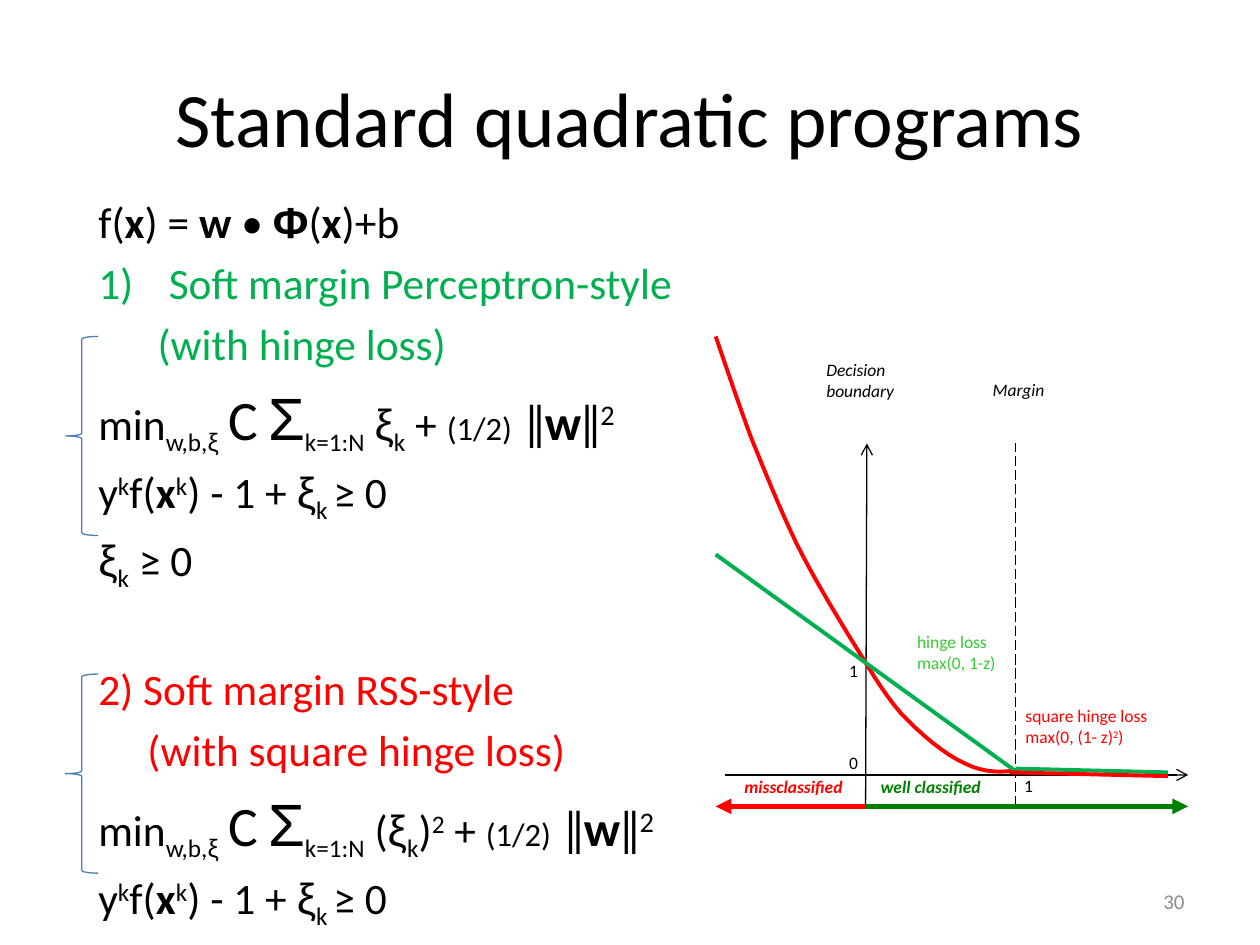
from typing import NamedTuple

from lxml.etree import SubElement
from pptx import Presentation
from pptx.dml.color import RGBColor
from pptx.enum.dml import MSO_LINE
from pptx.enum.shapes import MSO_CONNECTOR, MSO_SHAPE
from pptx.enum.text import MSO_ANCHOR, MSO_AUTO_SIZE, PP_ALIGN
from pptx.oxml.ns import qn
from pptx.util import Inches, Pt

BLACK, RED, GREEN, DARK = "000000", "FF0000", "00B050", "008000"
BODY = 24.8


class Run(NamedTuple):
    """Text with marks: b bold, g Greek font, _ subscript, ^ superscript."""
    text: str
    marks: str = ""
    size: float = BODY


class Para(NamedTuple):
    runs: list[Run]
    color: str = BLACK
    left: float = 0
    hang: float = 0
    before: float | None = None


class Line(NamedTuple):
    start: tuple[float, float]
    end: tuple[float, float]
    color: str = BLACK
    width: float = 0.75
    head: str = ""
    dash: bool = False


class Label(NamedTuple):
    runs: list[Run]
    left: float
    top: float
    width: float
    height: float = 0.21
    color: str = BLACK
    bold: bool = False
    italic: bool = False


def paint(color: str) -> RGBColor:
    return RGBColor.from_string(color)


def add_runs(para, runs: list[Run]) -> None:
    for item in runs:
        run = para.add_run()
        run.text = item.text
        if item.size != BODY:
            run.font.size = Pt(item.size)
        if "b" in item.marks:
            run.font.bold = True
        if "g" in item.marks:
            run.font.name = "Arial"
        for mark, base in (("_", "-25000"), ("^", "30000")):
            if mark in item.marks:
                run._r.get_or_add_rPr().set("baseline", base)


def set_font(para, size: float, color: str) -> None:
    para.font.name = "Calibri"
    para.font.size = Pt(size)
    para.font.color.rgb = paint(color)


def add_para(para, item: Para) -> None:
    props = para._p.get_or_add_pPr()
    props.set("marL", str(Inches(item.left)))
    props.set("indent", str(Inches(-item.hang)))
    if item.hang:
        SubElement(props, qn("a:buFont"), typeface="+mj-lt")
        SubElement(props, qn("a:buAutoNum"), type="arabicParenR")
    else:
        SubElement(props, qn("a:buNone"))
    if item.before is not None:
        para.space_before = Pt(item.before)
    set_font(para, BODY, item.color)
    add_runs(para, item.runs)


def add_line(shapes, item: Line) -> None:
    ends = [Inches(n) for n in (*item.start, *item.end)]
    line = shapes.add_connector(MSO_CONNECTOR.STRAIGHT, *ends)
    line.line.color.rgb = paint(item.color)
    line.line.width = Pt(item.width)
    if item.dash:
        line.line.dash_style = MSO_LINE.LONG_DASH
    if item.head:
        SubElement(line.line._get_or_add_ln(), qn("a:tailEnd"), type=item.head)
    SubElement(line._element.spPr, qn("a:effectLst"))


def add_label(shapes, item: Label) -> None:
    place = (item.left, item.top, item.width, item.height)
    frame = shapes.add_textbox(*map(Inches, place)).text_frame
    frame.word_wrap = True
    para = frame.paragraphs[0]
    set_font(para, 10, item.color)
    para.font.bold, para.font.italic = item.bold, item.italic
    add_runs(para, item.runs)


def add_brace(shapes, top: float) -> None:
    place = map(Inches, (0.52, top, 0.26, 1.58))
    brace = shapes.add_shape(MSO_SHAPE.LEFT_BRACE, *place)
    brace.shadow.inherit = False
    brace.fill.background()
    brace.line.color.rgb = paint("4B7EBC")
    brace.line.width = Pt(0.75)


def trace(knots: list[tuple[float, float]], steps: int = 8) -> list[tuple[int, int]]:
    """Sample a chain of cubic Bezier curves, giving points in EMU."""
    dots = [tuple(map(Inches, knots[0]))]
    for i in range(0, len(knots) - 1, 3):
        for step in range(1, steps + 1):
            t = step / steps
            parts = ((1 - t) ** 3, 3 * t * (1 - t) ** 2, 3 * t * t * (1 - t), t ** 3)
            group = knots[i:i + 4]
            dots.append(tuple(Inches(sum(p * k[axis] for p, k in zip(parts, group)))
                              for axis in (0, 1)))
    return dots


def add_curve(shapes, knots: list[tuple[float, float]]) -> None:
    first, *rest = trace(knots)
    pen = shapes.build_freeform(*first)
    pen.add_line_segments(rest, close=False)
    curve = pen.convert_to_shape()
    curve.shadow.inherit = False
    curve.fill.background()
    curve.line.color.rgb = paint(RED)
    curve.line.width = Pt(2.25)


XI = [Run("ξ", "g"), Run("k", "_")]
START = [Run("min"), Run("w,b,", "_"), Run("ξ", "g_"), Run(" "), Run("C", "", 31.8),
         Run(" "), Run("Σ", "g", 34.1), Run("k=1:N", "_"), Run(" ")]
NORM = [Run(" + "), Run("(1/2)", "", 18.6), Run(" ", "g", 27.9), Run("ǁ", "", 27.9),
        Run("w", "b", 27.9), Run("ǁ", "", 27.9), Run("2", "^", 27.9)]
BOUND = [Run("y"), Run("k", "^"), Run("f("), Run("x", "b"), Run("k", "^"),
         Run(") - 1 + "), *XI, Run(" ", "_"), Run("≥ 0")]
PARAS = [
    Para([Run("f("), Run("x", "b"), Run(") = "), Run("w ", "b"), Run("• "),
          Run("Φ", "bg"), Run("("), Run("x", "b"), Run(")+b")]),
    Para([Run("Soft margin Perceptron-style")], GREEN, 0.56, 0.56),
    Para([Run("(with hinge loss)")], GREEN, 0.47),
    Para([*START, *XI, *NORM]),
    Para(BOUND),
    Para([*XI, Run(" ≥ 0")]),
    Para([Run("2) Soft margin RSS-style")], RED, before=40),
    Para([Run("(with square hinge loss)")], RED, 0.39),
    Para([*START, Run("("), *XI, Run(")"), Run("2", "^"), *NORM]),
    Para(BOUND),
]
LINES = [
    Line((6.87, 6.4), (6.88, 3.52), head="arrow"),
    Line((8.06, 6.4), (8.06, 3.52), dash=True),
    Line((6.87, 6.4), (9.43, 6.4), DARK, 3, "triangle"),
    Line((6.87, 6.4), (5.68, 6.4), RED, 3, "triangle"),
    Line((5.75, 6.15), (9.43, 6.15), head="arrow"),
]
LOSSES = [
    Line((5.68, 4.4), (8.06, 6.12), GREEN, 2.25),
    Line((8.06, 6.1), (9.27, 6.13), GREEN, 2.25),
    Line((8.01, 6.13), (9.27, 6.16), RED, 2.25),
]
LABELS = [
    Label([Run("Margin", "", 10)], 7.78, 2.96, 0.99, italic=True),
    Label([Run("Decision boundary", "", 10)], 6.46, 2.8, 0.99, italic=True),
    Label([Run("well classified", "", 10)], 6.89, 6.11, 1.93, 0.21, DARK, True, True),
    Label([Run("missclassified", "", 10)], 5.81, 6.11, 1.93, 0.21, RED, True, True),
    Label([Run("square hinge loss max(0, (1- z)", "", 10), Run("2", "^", 10),
           Run(")", "", 10)], 8.04, 5.55, 1.25, 0.44, RED),
    Label([Run("hinge loss max(0, 1-z)", "", 10)], 7.18, 4.96, 0.83, 0.44, "33CC33"),
    Label([Run("0", "", 10)], 6.64, 5.92, 0.27),
    Label([Run("1", "", 10)], 6.64, 5.19, 0.27),
    Label([Run("1", "", 10)], 8.03, 6.1, 0.27),
]
KNOTS = [(5.68, 2.67), (5.77, 2.93), (5.86, 3.2), (5.96, 3.47), (6.07, 3.74),
         (6.19, 4.04), (6.32, 4.31), (6.45, 4.57), (6.6, 4.82), (6.74, 5.05),
         (6.88, 5.27), (7, 5.49), (7.15, 5.66), (7.31, 5.83), (7.5, 5.99),
         (7.66, 6.06), (7.82, 6.14), (7.96, 6.13), (8.1, 6.11)]


def fit(shape, *place: float) -> None:
    shape.left, shape.top, shape.width, shape.height = map(Inches, place)


def main() -> None:
    deck = Presentation()
    deck.slide_width, deck.slide_height = Inches(10), Inches(7.5)
    slide = deck.slides.add_slide(deck.slide_layouts[1])
    shapes = slide.shapes

    fit(shapes.title, 0.5, 0.3, 9, 1.25)
    shapes.title.text = "Standard quadratic programs"
    set_font(shapes.title.text_frame.paragraphs[0], 44, BLACK)

    body = slide.placeholders[1]
    fit(body, 0.68, 1.5, 9, 5.58)
    frame = body.text_frame
    frame.auto_size = MSO_AUTO_SIZE.NONE
    for i, item in enumerate(PARAS):
        add_para(frame.add_paragraph() if i else frame.paragraphs[0], item)

    number = shapes.add_textbox(*map(Inches, (7.17, 6.95, 2.33, 0.4))).text_frame
    number.word_wrap = True
    number.vertical_anchor = MSO_ANCHOR.MIDDLE
    para = number.paragraphs[0]
    para.text, para.alignment = "30", PP_ALIGN.RIGHT
    set_font(para, 12, "8C8C8C")

    for top in (2.67, 5.35):
        add_brace(shapes, top)
    for line in LINES:
        add_line(shapes, line)
    add_curve(shapes, KNOTS)
    for line in LOSSES:
        add_line(shapes, line)
    for label in LABELS:
        add_label(shapes, label)
    deck.save("out.pptx")


if __name__ == "__main__":
    main()
